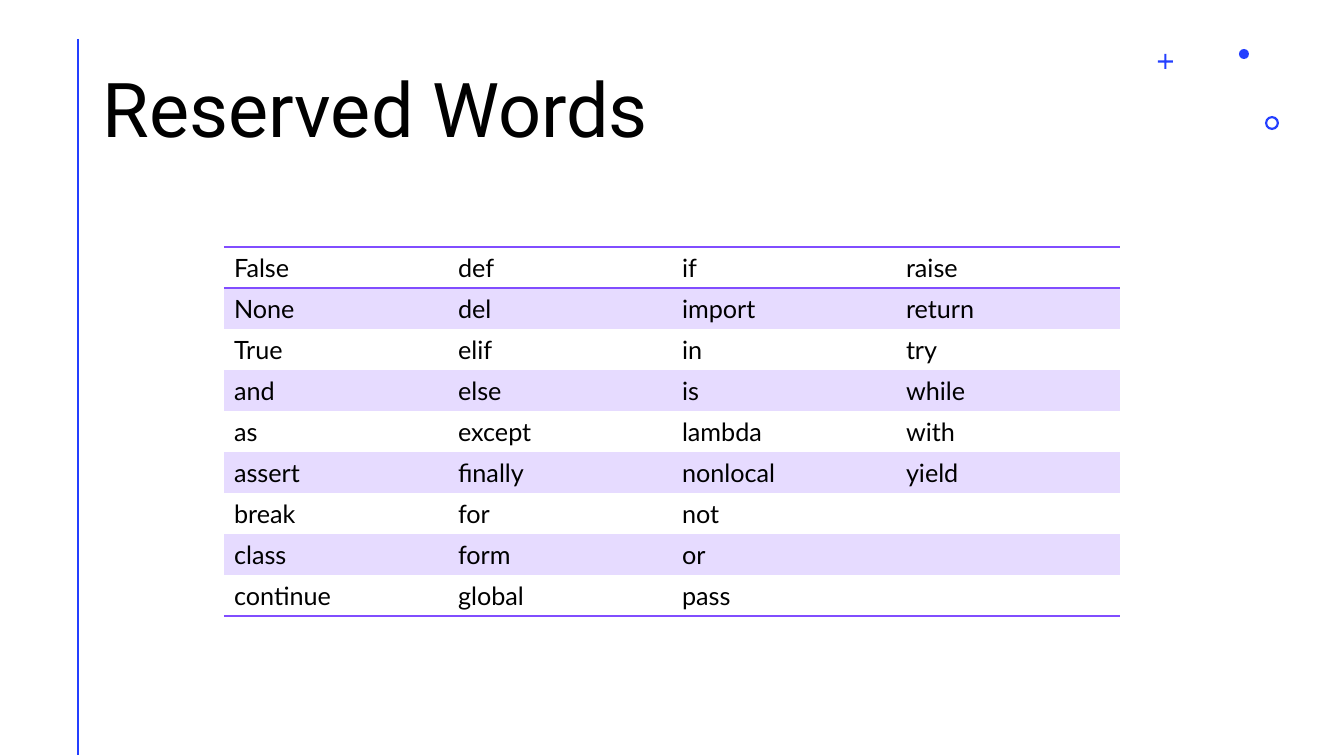
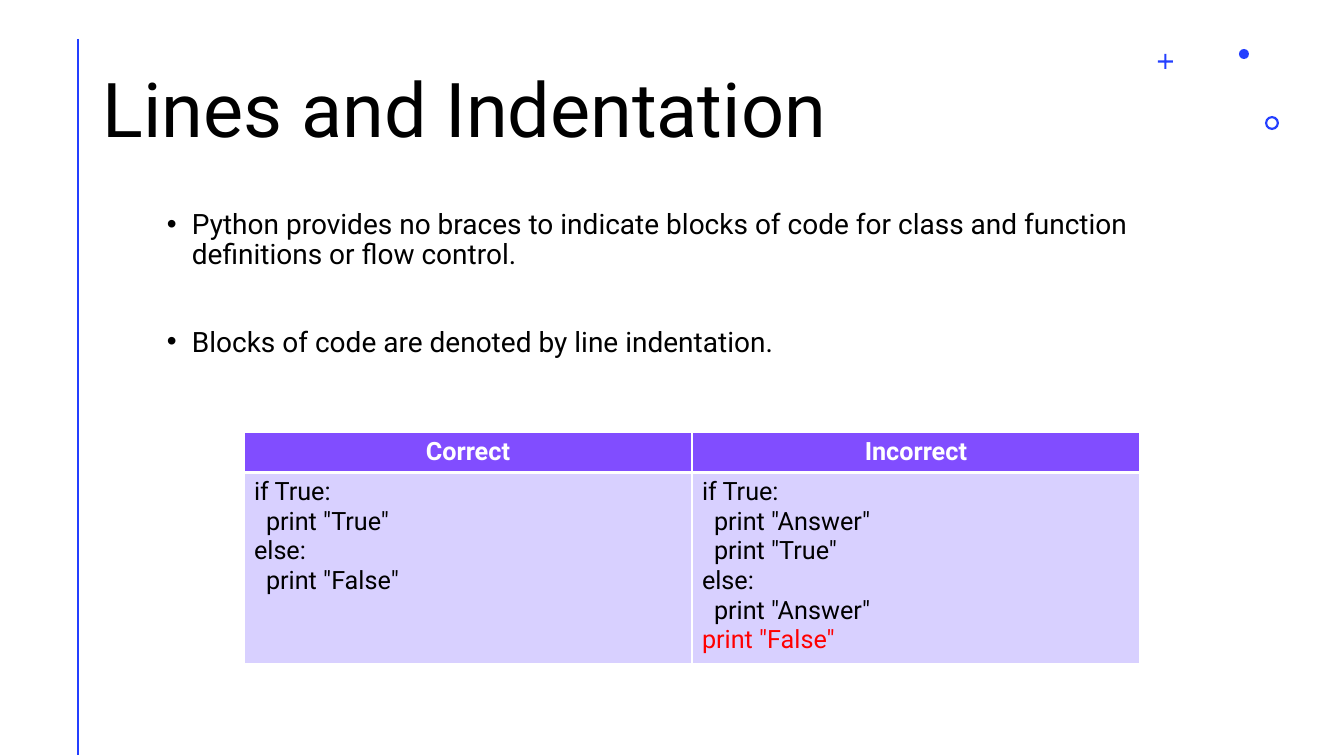
from itertools import product

from lxml import etree
from pptx import Presentation
from pptx import util as u
from pptx.dml.color import RGBColor
from pptx.enum import shapes, text
from pptx.oxml import ns

PX = 914400 / 100.8  # EMU in one px
BLUE = RGBColor(0x24, 0x3F, 0xFF)
PURPLE = RGBColor(0x81, 0x4D, 0xFF)
BAND = RGBColor(0xE6, 0xDB, 0xFF)
LAVENDER = RGBColor(0xD8, 0xD0, 0xFF)
RED = RGBColor(0xFF, 0x00, 0x00)
BLACK = RGBColor(0x00, 0x00, 0x00)
WHITE = RGBColor(0xFF, 0xFF, 0xFF)
NO_STYLE = "{2D5ABB26-0587-4C30-8999-92F81FD0307C}"


def write(paragraph, words, *, size=18, font="Roboto", color=BLACK, bold=False,
          align=None, spacing=None, before=None, indent=0, bullet=None):
    run = paragraph.add_run()
    run.text = words
    run.font.size = u.Pt(size)
    run.font.name = font
    run.font.color.rgb = color
    run.font.bold = bold
    paragraph.alignment = align
    paragraph.line_spacing = spacing
    if before is not None:
        paragraph.space_before = u.Pt(before)
    properties = paragraph._p.get_or_add_pPr()
    if indent:
        properties.set("marL", str(round(indent * PX)))
    if bullet:
        properties.set("indent", str(-round(indent * PX)))
        etree.SubElement(properties, ns.qn("a:buFont"), typeface="Arial")
        etree.SubElement(properties, ns.qn("a:buChar"), char=bullet)


def add_table(slide, left, top, column_width, row_heights, columns):
    """Add a plain table without style, borders or fills."""
    frame = slide.shapes.add_table(
        len(row_heights), columns, round(left * PX), round(top * PX),
        round(column_width * columns * PX), round(sum(row_heights) * PX))
    table = frame.table
    table.first_row = table.horz_banding = False
    table._tbl.tblPr.find(ns.qn("a:tableStyleId")).text = NO_STYLE
    for column in table.columns:
        column.width = round(column_width * PX)
    for row, height in zip(table.rows, row_heights):
        row.height = round(height * PX)
    return table


presentation = Presentation()
presentation.slide_width = round(1344 * PX)
presentation.slide_height = round(756 * PX)

# Shared frame: side line, small marks and title
MARKS = [
    (shapes.MSO_SHAPE.CROSS, 1158, 54, 15, 0.43),
    (shapes.MSO_SHAPE.DONUT, 1265, 116, 14, 0.16),
    (shapes.MSO_SHAPE.OVAL, 1239, 49, 10, None),
]
slides = []
for title in ("Reserved Words", "Lines and Indentation"):
    slide = presentation.slides.add_slide(presentation.slide_layouts[6])
    slides.append(slide)

    line = slide.shapes.add_connector(
        shapes.MSO_CONNECTOR.STRAIGHT,
        *(round(length * PX) for length in (78, 39, 78, 755)))
    line.line.color.rgb = BLUE
    line.line.width = u.Pt(2)
    etree.SubElement(line._element.spPr, ns.qn("a:effectLst"))

    for kind, left, top, side, adjustment in MARKS:
        mark = slide.shapes.add_shape(
            kind, *(round(length * PX) for length in (left, top, side, side)))
        mark.shadow.inherit = False
        mark.fill.solid()
        mark.fill.fore_color.rgb = BLUE
        mark.line.fill.background()
        if adjustment:
            mark.adjustments[0] = adjustment

    box = slide.shapes.add_textbox(
        *(round(length * PX) for length in (93, 40, 1159, 146)))
    box.text_frame.word_wrap = True
    box.text_frame.vertical_anchor = text.MSO_ANCHOR.MIDDLE
    write(box.text_frame.paragraphs[0], title, size=54, spacing=0.9)

words_slide, indentation_slide = slides
borders = []  # cell, side, colour, width in points
fills = []  # cell, colour

# Reserved words, one list for each column
WORD_COLUMNS = [
    ["False", "None", "True", "and", "as", "assert", "break", "class", "continue"],
    ["def", "del", "elif", "else", "except", "finally", "for", "form", "global"],
    ["if", "import", "in", "is", "lambda", "nonlocal", "not", "or", "pass"],
    ["raise", "return", "try", "while", "with", "yield"],
]
ROWS = len(WORD_COLUMNS[0])
table = add_table(words_slide, 224, 247, 224, [41] * ROWS, len(WORD_COLUMNS))
for row, column in product(range(ROWS), range(len(WORD_COLUMNS))):
    cell = table.cell(row, column)
    cell.vertical_anchor = text.MSO_ANCHOR.MIDDLE
    if row < len(WORD_COLUMNS[column]):
        write(cell.text_frame.paragraphs[0], WORD_COLUMNS[column][row], font="Lato")
    if row == 0:
        borders.append((cell, "T", PURPLE, 1))
    if row in (0, ROWS - 1):
        borders.append((cell, "B", PURPLE, 1))
    if row % 2:
        fills.append((cell, BAND))

# Rules on indentation
box = indentation_slide.shapes.add_textbox(
    *(round(length * PX) for length in (157, 205, 1067, 208)))
box.text_frame.word_wrap = True
RULES = [
    ("Python provides no braces to indicate blocks of code for class and function "
     "definitions or flow control.", 0),
    ("Blocks of code are denoted by line indentation.", 41),
]
for number, (rule, before) in enumerate(RULES):
    frame = box.text_frame
    paragraph = frame.add_paragraph() if number else frame.paragraphs[0]
    write(paragraph, rule, size=20, spacing=0.9, before=before, indent=25, bullet="•")

# Code examples: each line has its text, indent in px and colour
EXAMPLES = {
    "Correct": [
        ("if True:", 0, BLACK),
        ('print "True"', 12, BLACK),
        ("else:", 0, BLACK),
        ('print "False"', 12, BLACK),
    ],
    "Incorrect": [
        ("if True:", 0, BLACK),
        ('print "Answer"', 12, BLACK),
        ('print "True"', 12, BLACK),
        ("else:", 0, BLACK),
        ('print "Answer"', 12, BLACK),
        ('print "False"', 0, RED),
    ],
}
table = add_table(indentation_slide, 244, 432, 448, [40, 187], len(EXAMPLES))
for column, (heading, code) in enumerate(EXAMPLES.items()):
    header, body = table.cell(0, column), table.cell(1, column)
    write(header.text_frame.paragraphs[0], heading, color=WHITE, bold=True,
          align=text.PP_ALIGN.CENTER)
    for number, (words, indent, color) in enumerate(code):
        frame = body.text_frame
        paragraph = frame.add_paragraph() if number else frame.paragraphs[0]
        write(paragraph, words, color=color, indent=indent)
    for cell, top_width, bottom_width in ((header, 1, 3), (body, 3, 1)):
        widths = {"L": 1, "R": 1, "T": top_width, "B": bottom_width}
        borders += [(cell, side, WHITE, width) for side, width in widths.items()]
    fills += [(header, PURPLE), (body, LAVENDER)]

# Cell borders come before cell fills in the XML
for cell, side, color, width in borders:
    border = etree.SubElement(cell._tc.get_or_add_tcPr(), ns.qn(f"a:ln{side}"),
                              w=str(u.Pt(width)))
    fill = etree.SubElement(border, ns.qn("a:solidFill"))
    etree.SubElement(fill, ns.qn("a:srgbClr"), val=str(color))
for cell, color in fills:
    cell.fill.solid()
    cell.fill.fore_color.rgb = color

presentation.save("out.pptx")
